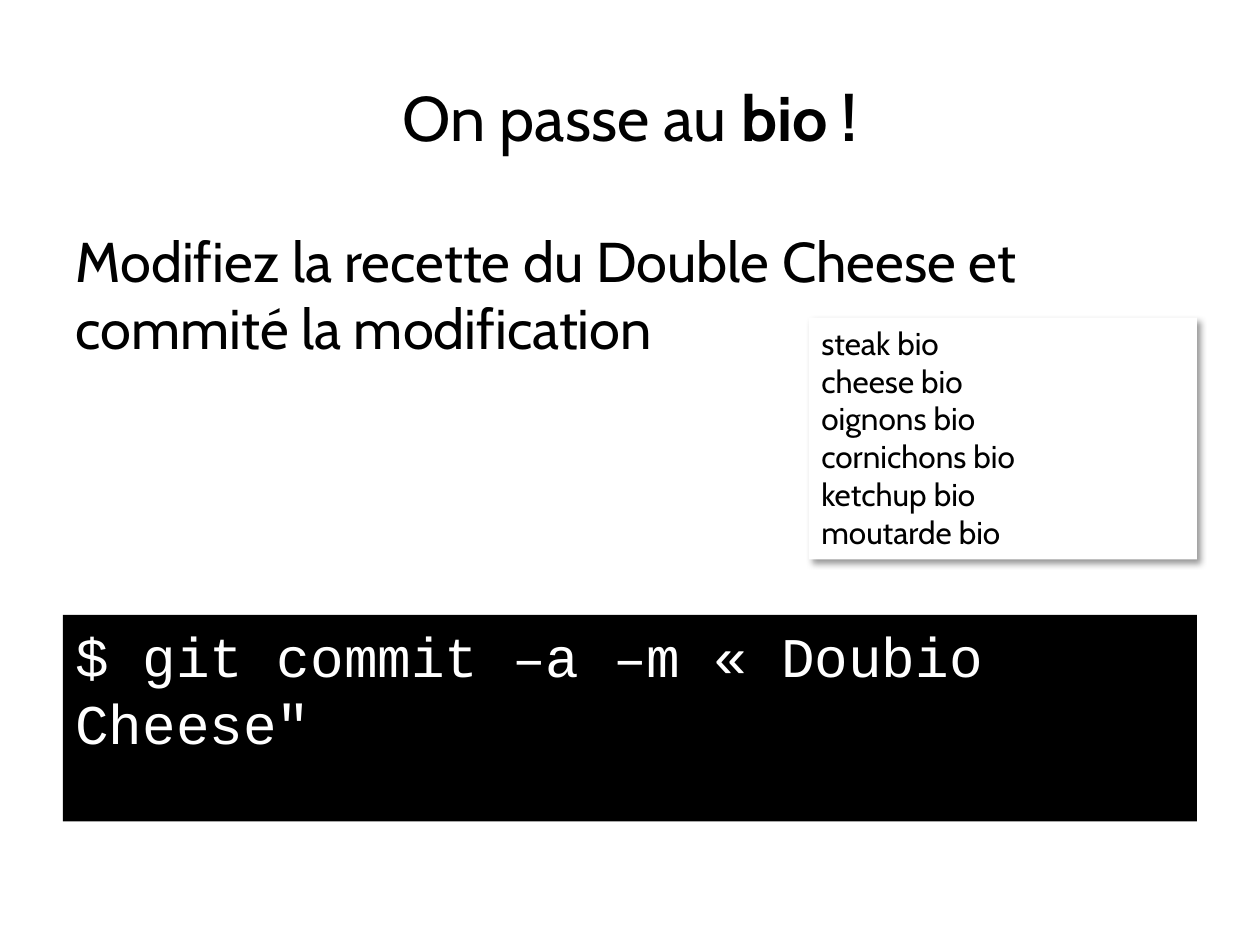
import pptx
import pptx.dml.color
import pptx.enum.shapes
import pptx.enum.text
import pptx.oxml
import pptx.oxml.ns
import pptx.util

PX = 9144  # 100 px to the inch
MARGIN, CONTENT_WIDTH = 50, 900
BLACK, WHITE = "000000", "FFFFFF"
INGREDIENTS = ["steak", "cheese", "oignons", "cornichons", "ketchup", "moutarde"]


def color(hex_code):
    return pptx.dml.color.RGBColor.from_string(hex_code)


def to_emu(box):
    return [pptx.util.Emu(length * PX) for length in box]


def style_text(frame, size, ink=BLACK, font="Cabin"):
    frame.word_wrap = True
    for para in frame.paragraphs:
        for span in para.runs:
            span.font.name = font
            span.font.size = pptx.util.Pt(size)
            span.font.color.rgb = color(ink)


def add_panel(slide, box, text, fill):
    """Add a borderless rectangle with text aligned to its top left."""
    panel = slide.shapes.add_shape(
        pptx.enum.shapes.MSO_SHAPE.RECTANGLE, *to_emu(box))
    panel.shadow.inherit = False
    panel.fill.solid()
    panel.fill.fore_color.rgb = color(fill)
    panel.line.fill.background()
    frame = panel.text_frame
    frame.text = text
    frame.vertical_anchor = pptx.enum.text.MSO_ANCHOR.TOP
    for para in frame.paragraphs:
        para.alignment = pptx.enum.text.PP_ALIGN.LEFT
    return panel


def add_drop_shadow(shape):
    effects = shape._element.spPr.find(pptx.oxml.ns.qn("a:effectLst"))
    effects.append(pptx.oxml.parse_xml(
        f'<a:outerShdw {pptx.oxml.ns.nsdecls("a")} blurRad="50800" dist="38100" '
        'dir="2700000" algn="tl" rotWithShape="0">'
        f'<a:srgbClr val="{BLACK}"><a:alpha val="40000"/></a:srgbClr>'
        '</a:outerShdw>'))


def add_title(slide, box):
    frame = slide.shapes.add_textbox(*to_emu(box)).text_frame
    frame.vertical_anchor = pptx.enum.text.MSO_ANCHOR.MIDDLE
    para = frame.paragraphs[0]
    para.alignment = pptx.enum.text.PP_ALIGN.CENTER
    para.add_run().text = "On passe au "
    emphasis = para.add_run()
    emphasis.text = "bio !"
    emphasis.font.bold = True
    style_text(frame, 36)


def add_instruction(slide, box):
    frame = slide.shapes.add_textbox(*to_emu(box)).text_frame
    frame.text = "Modifiez la recette du Double Cheese et commité la modification"
    style_text(frame, 32)


def add_terminal(slide, box):
    panel = add_panel(
        slide, box, '$ git commit –a –m « Doubio Cheese"', BLACK)
    style_text(panel.text_frame, 32, WHITE, "Courier New")


def add_recipe(slide, box):
    lines = "\n".join(f"{name} bio" for name in INGREDIENTS)
    card = add_panel(slide, box, lines, WHITE)
    add_drop_shadow(card)
    style_text(card.text_frame, 18)


def main():
    deck = pptx.Presentation()
    deck.slide_width, deck.slide_height = to_emu((1000, 750))
    slide = deck.slides.add_slide(deck.slide_layouts[6])
    add_title(slide, (MARGIN, 30, CONTENT_WIDTH, 125))
    add_instruction(slide, (MARGIN, 175, CONTENT_WIDTH, 199))
    add_terminal(slide, (MARGIN, 488, CONTENT_WIDTH, 164))
    add_recipe(slide, (642, 252, 308, 192))
    deck.save("out.pptx")


if __name__ == "__main__":
    main()
